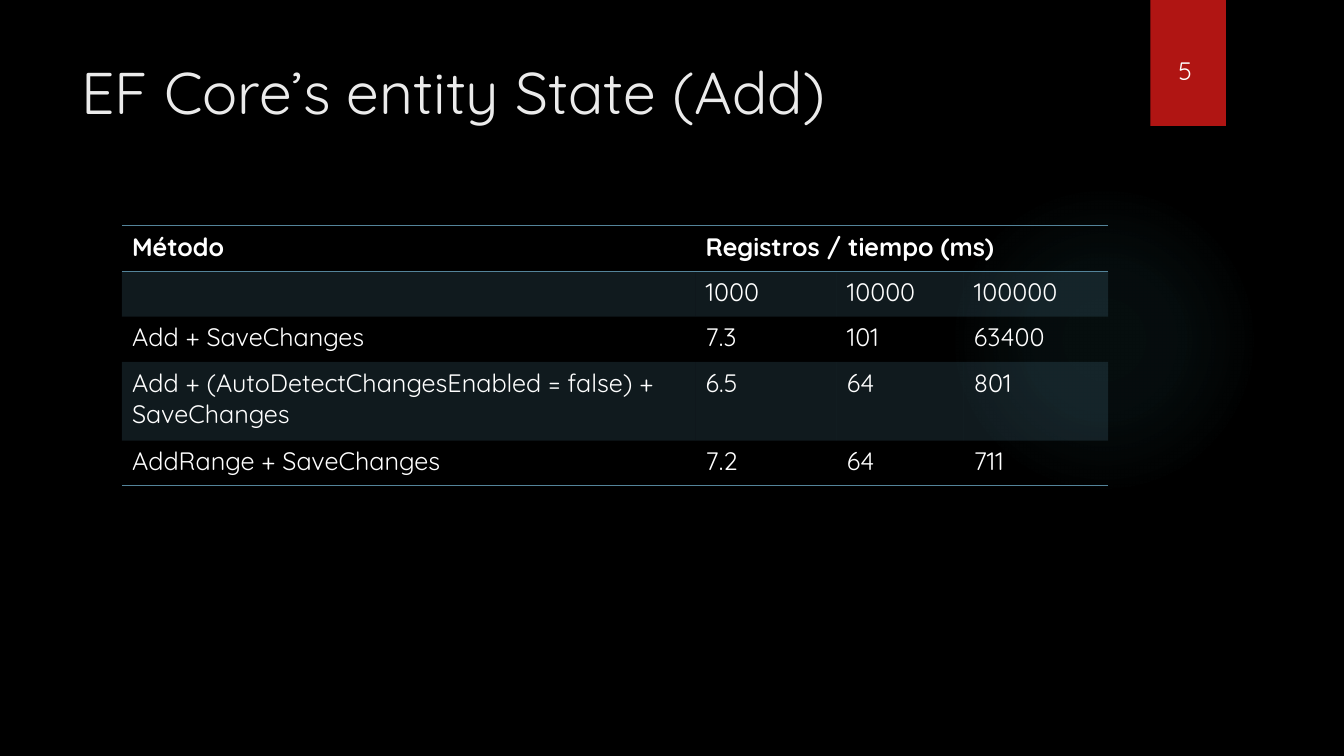
from lxml import etree
from pptx import Presentation
from pptx.dml.color import RGBColor
from pptx.enum import shapes, text
from pptx.oxml import parse_xml
from pptx.oxml.ns import nsdecls, qn
from pptx.util import Inches, Pt

BLACK = RGBColor(0x00, 0x00, 0x00)
WHITE = RGBColor(0xFF, 0xFF, 0xFF)
TITLE_GREY = RGBColor(0xEB, 0xEB, 0xEB)
RED = RGBColor(0xB0, 0x15, 0x13)
GLOW = RGBColor(0x50, 0xB9, 0xC1)
STEEL = RGBColor(0x54, 0x84, 0x9A)

FONT = "Quicksand"
NO_STYLE_NO_GRID = "{2D5ABB26-0587-4C30-8999-92F81FD0307C}"
COLUMN_WIDTHS = (5.69, 1.4, 1.26, 1.43)
ROW_HEIGHTS = (0.45, 0.45, 0.45, 0.78, 0.45)
BANDED_ROWS = (1, 3)
ROWS = (
    ("Método", "Registros / tiempo (ms)", "", ""),
    ("", "1000", "10000", "100000"),
    ("Add + SaveChanges", "7.3", "101", "63400"),
    ("Add + (AutoDetectChangesEnabled = false) + SaveChanges", "6.5", "64", "801"),
    ("AddRange + SaveChanges", "7.2", "64", "711"),
)


def add_run(tf, content, size, color, bold=False):
    r = tf.paragraphs[0].add_run()
    r.text = content
    r.font.name = FONT
    r.font.size = Pt(size)
    r.font.bold = bold
    r.font.color.rgb = color


def add_text(s, content, left, top, width, height, size, color, wrap):
    tf = s.shapes.add_textbox(
        Inches(left), Inches(top), Inches(width), Inches(height)).text_frame
    tf.word_wrap = wrap
    tf.vertical_anchor = text.MSO_ANCHOR.TOP
    add_run(tf, content, size, color)


def add_shape(s, kind, left, top, width, height, color):
    sp = s.shapes.add_shape(
        kind, Inches(left), Inches(top), Inches(width), Inches(height))
    sp.shadow.inherit = False
    sp.line.fill.background()
    sp.fill.solid()
    sp.fill.fore_color.rgb = color
    return sp


def fade_outwards(sp, color, stops):
    """Replace the solid fill by a circular gradient of (position %, opacity %) stops."""
    gs = "".join(
        f'<a:gs pos="{pos * 1000}"><a:srgbClr val="{color}">'
        f'<a:alpha val="{alpha * 1000}"/></a:srgbClr></a:gs>'
        for pos, alpha in stops)
    grad = parse_xml(
        f'<a:gradFill {nsdecls("a")} rotWithShape="1"><a:gsLst>{gs}</a:gsLst>'
        '<a:path path="circle"><a:fillToRect l="50000" t="50000" r="50000" b="50000"/>'
        '</a:path></a:gradFill>')
    spPr = sp.element.spPr
    spPr.replace(spPr.find(qn("a:solidFill")), grad)


def fill_band(cell, color, alpha):
    cell.fill.solid()
    cell.fill.fore_color.rgb = color
    clr = next(cell._tc.tcPr.iter(qn("a:srgbClr")))
    etree.SubElement(clr, qn("a:alpha")).set("val", str(alpha * 1000))


def add_borders(cell, tags):
    for i, tag in enumerate(tags):
        ln = parse_xml(
            f'<a:{tag} {nsdecls("a")} w="{Pt(1)}"><a:solidFill>'
            f'<a:srgbClr val="{STEEL}"/></a:solidFill></a:{tag}>')
        cell._tc.get_or_add_tcPr().insert(i, ln)


def add_timing_table(s):
    frame = s.shapes.add_table(
        len(ROWS), len(COLUMN_WIDTHS), Inches(1.21), Inches(2.24),
        Inches(sum(COLUMN_WIDTHS)), Inches(sum(ROW_HEIGHTS)))
    table = frame.table
    next(frame.element.iter(qn("a:tableStyleId"))).text = NO_STYLE_NO_GRID
    table.horz_banding = False
    for col, width in zip(table.columns, COLUMN_WIDTHS):
        col.width = Inches(width)
    for row, height in zip(table.rows, ROW_HEIGHTS):
        row.height = Inches(height)
    table.cell(0, 1).merge(table.cell(0, 3))

    borders = {0: ("lnT", "lnB"), len(ROWS) - 1: ("lnB",)}
    for i, values in enumerate(ROWS):
        for j, value in enumerate(values):
            cell = table.cell(i, j)
            if i in BANDED_ROWS:
                fill_band(cell, STEEL, 20)
            else:
                cell.fill.background()
            add_borders(cell, borders.get(i, ()))
            if value:
                add_run(cell.text_frame, value, 18, WHITE, bold=i == 0)


def main():
    prs = Presentation()
    prs.slide_width, prs.slide_height = Inches(13.33), Inches(7.5)
    s = prs.slides.add_slide(prs.slide_layouts[6])
    s.background.fill.solid()
    s.background.fill.fore_color.rgb = BLACK

    glow = add_shape(s, shapes.MSO_SHAPE.OVAL, 9.41, 1.83, 3.08, 3.08, GLOW)
    fade_outwards(glow, GLOW, ((0, 7), (36, 6), (69, 0)))
    add_shape(s, shapes.MSO_SHAPE.RECTANGLE, 11.41, 0, 0.75, 1.25, RED)
    add_text(s, "EF Core’s entity State (Add)", 0.71, 0.5, 10.29, 1.53,
             42, TITLE_GREY, wrap=True)
    add_timing_table(s)
    add_text(s, "5", 11.59, 0.5, 0.34, 0.4, 18, WHITE, wrap=False)
    prs.save("out.pptx")


if __name__ == "__main__":
    main()
